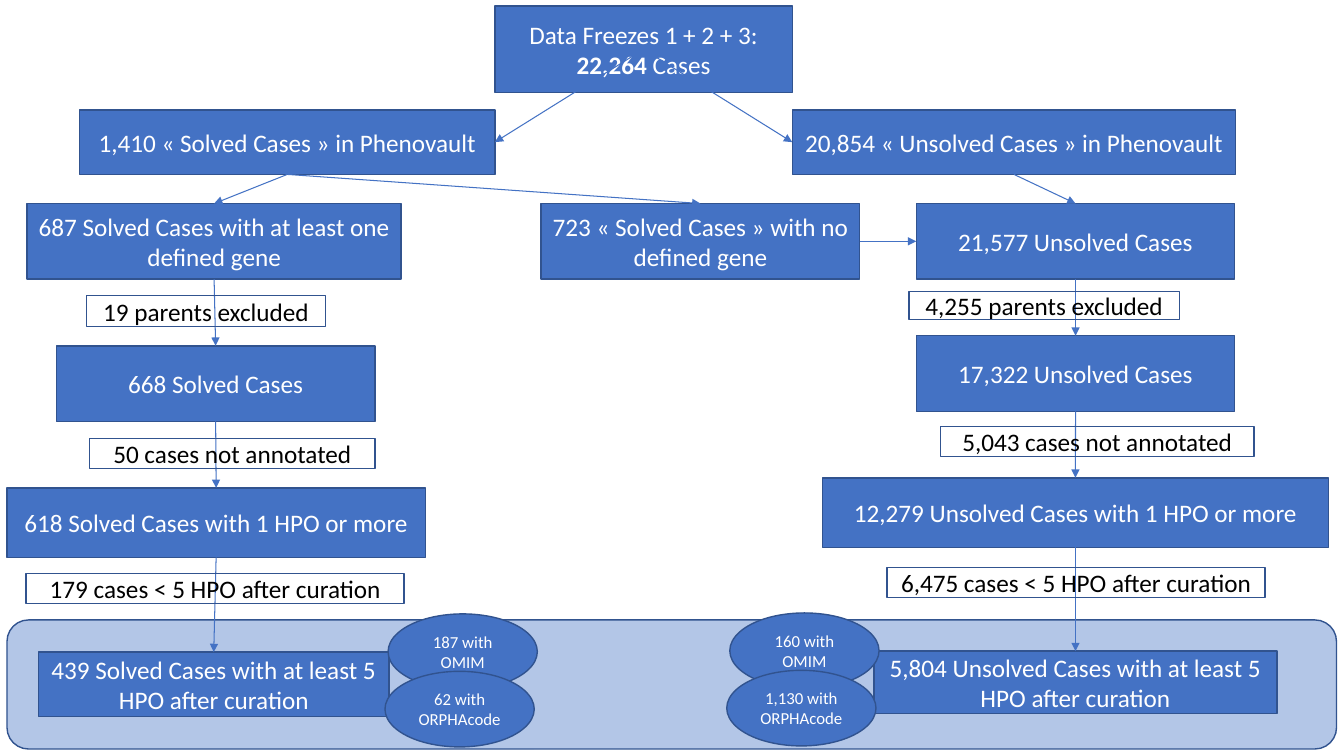
from lxml import etree
from pptx import Presentation
from pptx.dml.color import RGBColor
from pptx.enum.shapes import MSO_CONNECTOR, MSO_SHAPE
from pptx.enum.text import MSO_ANCHOR, PP_ALIGN
from pptx.oxml.ns import qn
from pptx.util import Pt

RECTANGLE = MSO_SHAPE.RECTANGLE
ROUNDED = MSO_SHAPE.ROUNDED_RECTANGLE
ELLIPSE = MSO_SHAPE.OVAL
STRAIGHT = MSO_CONNECTOR.STRAIGHT
MIDDLE = MSO_ANCHOR.MIDDLE
CENTER = PP_ALIGN.CENTER
TOP, LEFT, BOTTOM, RIGHT = range(4)


def color(value):
    return RGBColor.from_string(value)


class FlowChart:
    font = "Calibri"
    blue = "4472C4"
    outline = "31538F"
    pale = "B3C6E7"
    white = "FFFFFF"
    black = "000000"

    def __init__(self, page):
        self.page = page

    def shape(self, kind, left, top, width, height, fill=None):
        box = self.page.shapes.add_shape(kind, Pt(left), Pt(top), Pt(width), Pt(height))
        box.shadow.inherit = False
        if fill:
            box.fill.solid()
            box.fill.fore_color.rgb = color(fill)
        else:
            box.fill.background()
        box.line.color.rgb = color(self.outline)
        box.line.width = Pt(1)
        return box

    def style_span(self, span, size, ink, bold=False):
        span.font.name = self.font
        span.font.size = Pt(size)
        span.font.bold = bold
        span.font.color.rgb = color(ink)

    def label(self, box, text, size, ink):
        frame = box.text_frame
        frame.text = text
        frame.word_wrap = True
        frame.vertical_anchor = MIDDLE
        para = frame.paragraphs[0]
        para.alignment = CENTER
        self.style_span(para.runs[0], size, ink)
        return box

    def add_span(self, box, text, bold):
        span = box.text_frame.paragraphs[0].add_run()
        span.text = text
        self.style_span(span, 18, self.white, bold)

    def panel(self, *place):
        return self.shape(ROUNDED, *place, self.pale)

    def step(self, text, *place):
        return self.label(self.shape(RECTANGLE, *place, self.blue), text, 18, self.white)

    def exclusion(self, text, *place):
        return self.label(self.shape(RECTANGLE, *place), text, 18, self.black)

    def code_count(self, text, left, top):
        box = self.shape(ELLIPSE, left, top, 106.6, 54, self.blue)
        return self.label(box, text, 12, self.white)

    def arrow(self, source, target, start=BOTTOM, end=TOP):
        middle_x = source.left + source.width // 2
        middle_y = source.top + source.height // 2
        line = self.page.shapes.add_connector(STRAIGHT, middle_x, middle_y, middle_x, middle_y)
        if start is not None:
            line.begin_connect(source, start)
        line.end_connect(target, end)
        line.line.color.rgb = color(self.blue)
        line.line.width = Pt(0.75)
        properties = line._element.spPr
        etree.SubElement(properties.find(qn("a:ln")), qn("a:tailEnd"), type="triangle")
        etree.SubElement(properties, qn("a:effectLst"))


def main():
    deck = Presentation()
    deck.slide_width, deck.slide_height = Pt(960), Pt(540)
    chart = FlowChart(deck.slides.add_slide(deck.slide_layouts[6]))

    chart.panel(5, 442.8, 949.7, 92.2)
    solved = chart.step("1,410 « Solved Cases » in Phenovault", 56.9, 78.5, 296.6, 46.1)
    unsolved = chart.step("20,854 « Unsolved Cases » in Phenovault", 565.9, 78.5, 316.8, 46.1)
    freezes = chart.step("Data Freezes 1 + 2 + 3: ", 353.5, 4.3, 212.4, 61.9)
    chart.add_span(freezes, "22,264", True)
    chart.add_span(freezes, " Cases", False)
    no_gene = chart.step("723 « Solved Cases » with no defined gene", 386.6, 145.4, 227.5, 54)

    solved_steps = [
        ("687 Solved Cases with at least one defined gene", 19.4, 145.4, 267.1, 54),
        ("668 Solved Cases", 40.3, 247, 227.5, 54),
        ("618 Solved Cases with 1 HPO or more", 5, 348.5, 298.8, 49.7),
        ("439 Solved Cases with at least 5 HPO after curation", 27.4, 465.8, 250.6, 46.1),
    ]
    unsolved_steps = [
        ("21,577 Unsolved Cases", 654.5, 145.4, 227.5, 54),
        ("17,322 Unsolved Cases", 654.5, 239.8, 227.5, 54),
        ("12,279 Unsolved Cases with 1 HPO or more", 587.5, 341.3, 361.4, 49.7),
        ("5,804 Unsolved Cases with at least 5 HPO after curation", 624.2, 465.1, 288, 44.6),
    ]
    chains = []
    for first, steps in ((solved, solved_steps), (unsolved, unsolved_steps)):
        chains.append([first] + [chart.step(*step) for step in steps])

    chart.arrow(freezes, solved, None, RIGHT)
    chart.arrow(freezes, unsolved, None, LEFT)
    chart.arrow(solved, no_gene)
    chart.arrow(no_gene, chains[1][1], RIGHT, LEFT)
    for chain in chains:
        for source, target in zip(chain, chain[1:]):
            chart.arrow(source, target)

    for exclusion in (
        ("19 parents excluded", 61.9, 211, 170.6, 22.3),
        ("4,255 parents excluded", 649.4, 208.1, 193, 20.2),
        ("50 cases not annotated", 64.1, 313.2, 203.8, 21.6),
        ("5,043 cases not annotated", 671.8, 304.6, 223.9, 21.6),
        ("179 cases < 5 HPO after curation", 18.7, 409.7, 270, 21.6),
        ("6,475 cases < 5 HPO after curation", 633.6, 405.4, 270, 21.6),
    ):
        chart.exclusion(*exclusion)

    for omim, orpha, left, top in (
        ("187", "62", 277.2, 438.5),
        ("160", "1,130", 521.3, 437.8),
    ):
        chart.code_count(f"{omim} with OMIM", left, top)
        chart.code_count(f"{orpha} with ORPHAcode", left - 2.2, top + 41)

    deck.save("out.pptx")


if __name__ == "__main__":
    main()
